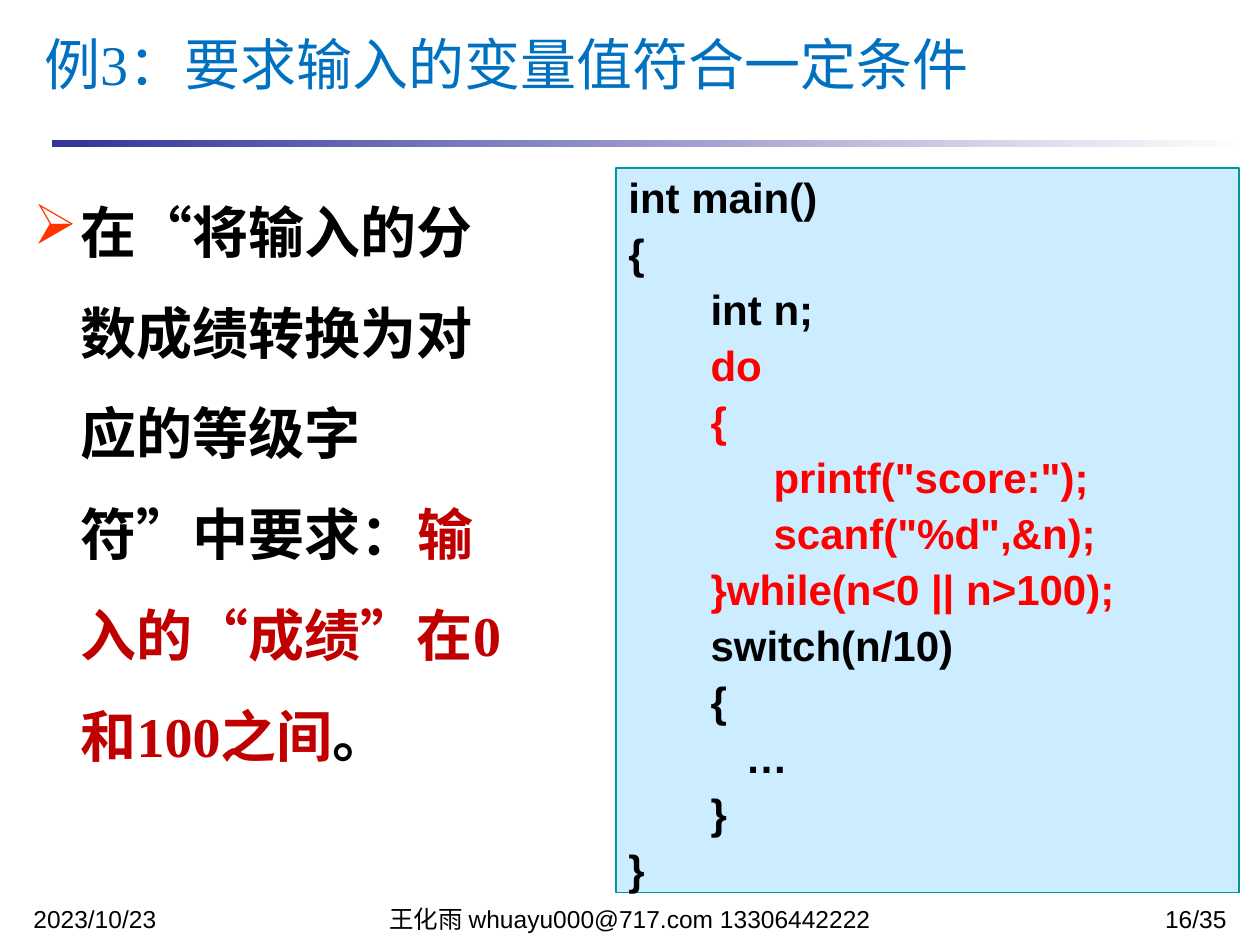
from pptx import Presentation
from pptx.dml.color import RGBColor
from pptx.enum.shapes import MSO_SHAPE
from pptx.enum.text import MSO_ANCHOR, PP_ALIGN
from pptx.oxml.ns import qn
from pptx.util import Pt
from lxml import etree

LEFT, CENTER, RIGHT = PP_ALIGN.LEFT, PP_ALIGN.CENTER, PP_ALIGN.RIGHT
TOP, MIDDLE = MSO_ANCHOR.TOP, MSO_ANCHOR.MIDDLE
RECTANGLE = MSO_SHAPE.RECTANGLE

BLACK = RGBColor(0x00, 0x00, 0x00)
WHITE = RGBColor(0xFF, 0xFF, 0xFF)
BLUE = RGBColor(0x00, 0x70, 0xC0)
INDIGO = RGBColor(0x33, 0x33, 0x99)
DARK_RED = RGBColor(0xC0, 0x00, 0x00)
RED = RGBColor(0xFF, 0x00, 0x00)
TEAL = RGBColor(0x00, 0x99, 0x99)
PALE_BLUE = RGBColor(0xCC, 0xEC, 0xFF)
BULLET_COLOR = "FF3300"

TITLE = "例3：要求输入的变量值符合一定条件"
REQUIREMENT = [
    ("在“将输入的分数成绩转换为对应的等级字符”中要求：", BLACK),
    ("输入的“成绩”在0和100之间", DARK_RED),
    ("。", BLACK),
]
CODE = [
    ("int main()", BLACK),
    ("{", BLACK),
    (" \t   int n;", BLACK),
    ("\t   do", RED),
    ("\t   {", RED),
    ('\t\t   printf("score:");', RED),
    ('\t\t   scanf("%d",&n);', RED),
    ("\t   }while(n<0 || n>100);", RED),
    ("\t   switch(n/10)", BLACK),
    ("\t   {", BLACK),
    ("\t      …", BLACK),
    ("\t   }", BLACK),
    ("}", BLACK),
]
FOOTERS = [
    (12, 168, "2023/10/23", LEFT),
    (186, 348, "王化雨 whuayu000@717.com 13306442222", CENTER),
    (570, 138, "16/35", RIGHT),
]


class SlideBuilder:
    serif = "Times New Roman"
    sans = "Arial"
    heading_size = 32
    code_size = 24
    footer_size = 14
    hanging = 27

    def __init__(self, slide):
        self.slide = slide

    def format_run(self, run, font, size, color, bold=False):
        run.font.name = font
        run.font.size = Pt(size)
        run.font.bold = bold
        run.font.color.rgb = color

    def hang(self, paragraph):
        properties = paragraph._p.get_or_add_pPr()
        properties.set("marL", str(Pt(self.hanging)))
        properties.set("indent", str(-Pt(self.hanging)))
        return properties

    def prepare_frame(self, shape, anchor):
        text_frame = shape.text_frame
        text_frame.word_wrap = True
        text_frame.vertical_anchor = anchor
        return text_frame

    def text_box(self, left, top, width, height):
        shape = self.slide.shapes.add_textbox(Pt(left), Pt(top), Pt(width), Pt(height))
        return self.prepare_frame(shape, TOP)

    def rectangle(self, left, top, width, height):
        shape = self.slide.shapes.add_shape(
            RECTANGLE, Pt(left), Pt(top), Pt(width), Pt(height))
        shape.shadow.inherit = False
        return shape

    def title(self, text, left, top, width, height):
        shape = self.slide.shapes.title
        shape.left, shape.top = Pt(left), Pt(top)
        shape.width, shape.height = Pt(width), Pt(height)
        shape.fill.solid()
        shape.fill.fore_color.rgb = WHITE
        text_frame = self.prepare_frame(shape, MIDDLE)
        text_frame.text = text
        paragraph = text_frame.paragraphs[0]
        paragraph.alignment = LEFT
        self.format_run(paragraph.runs[0], self.serif, self.heading_size, BLUE)

    def gradient_rule(self, left, top, width, height):
        shape = self.rectangle(left, top, width, height)
        shape.line.fill.background()
        shape.fill.gradient()
        shape.fill.gradient_angle = 0
        for stop, color, position in zip(
                shape.fill.gradient_stops, (INDIGO, WHITE), (0, 1)):
            stop.color.rgb = color
            stop.position = position

    def bullet_text(self, parts, left, top, width, height):
        paragraph = self.text_box(left, top, width, height).paragraphs[0]
        properties = self.hang(paragraph)
        bullet_color = etree.SubElement(properties, qn("a:buClr"))
        etree.SubElement(bullet_color, qn("a:srgbClr"), val=BULLET_COLOR)
        etree.SubElement(properties, qn("a:buChar"), char="➢")
        paragraph.line_spacing = 1.5
        for text, color in parts:
            run = paragraph.add_run()
            run.text = text
            self.format_run(run, self.serif, self.heading_size, color, True)

    def code_panel(self, lines, left, top, width, height):
        shape = self.rectangle(left, top, width, height)
        shape.fill.solid()
        shape.fill.fore_color.rgb = PALE_BLUE
        shape.line.color.rgb = TEAL
        shape.line.width = Pt(0.75)
        text_frame = self.prepare_frame(shape, MIDDLE)
        text_frame.text = "\n".join(text for text, _ in lines)
        for paragraph, (_, color) in zip(text_frame.paragraphs, lines):
            self.hang(paragraph)
            paragraph.alignment = LEFT
            paragraph.line_spacing = Pt(32)
            self.format_run(paragraph.runs[0], self.sans, self.code_size, color, True)

    def footer(self, left, width, text, alignment):
        text_frame = self.text_box(left, 516, width, 13)
        text_frame.text = text
        paragraph = text_frame.paragraphs[0]
        paragraph.alignment = alignment
        paragraph.line_spacing = 0.8
        self.format_run(paragraph.runs[0], self.sans, self.footer_size, BLACK)


def main():
    presentation = Presentation()
    presentation.slide_width, presentation.slide_height = Pt(720), Pt(540)
    slide = presentation.slides.add_slide(presentation.slide_layouts[5])
    builder = SlideBuilder(slide)
    builder.gradient_rule(29.5, 79.9, 684.7, 4.3)
    builder.title(TITLE, 18, 12, 666, 48)
    for footer in FOOTERS:
        builder.footer(*footer)
    builder.bullet_text(REQUIREMENT, 12, 90, 294, 414)
    builder.code_panel(CODE, 352, 96, 356, 414)
    presentation.save("out.pptx")


if __name__ == "__main__":
    main()
